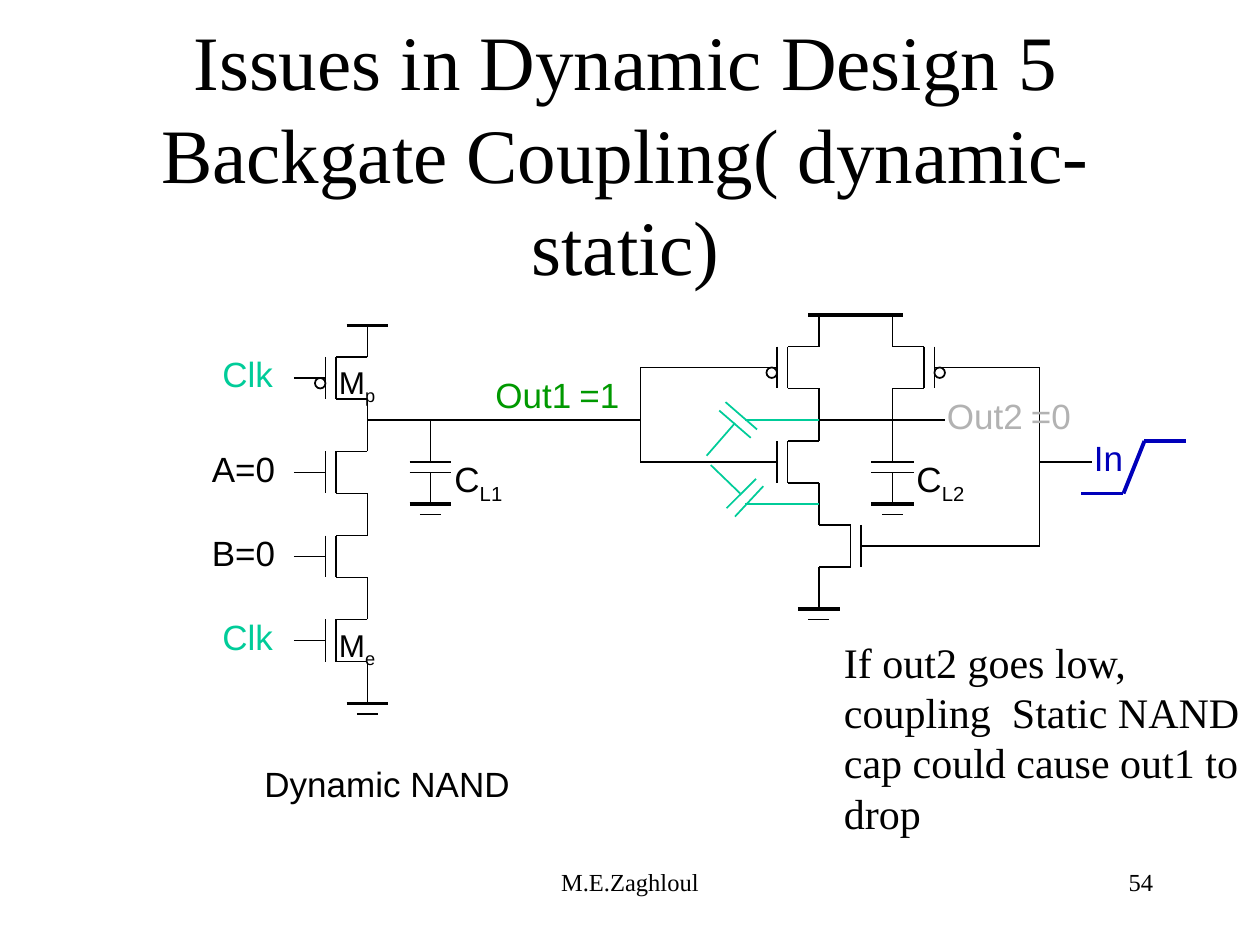
from lxml.etree import SubElement
from pptx import Presentation
from pptx.dml.color import RGBColor
from pptx.enum.shapes import MSO_CONNECTOR, MSO_SHAPE
from pptx.enum.text import MSO_ANCHOR, MSO_AUTO_SIZE, PP_ALIGN
from pptx.oxml.ns import qn
from pptx.util import Inches, Pt

COLUMNS, ROWS = 120, 90
BLACK, GREEN, TEAL, GREY, BLUE = "000000", "009900", "00CC99", "B2B2B2", "0000BA"
THIN, THICK = 1, 2.25
SERIF, SANS = "Times New Roman", "Arial"


def grid(units):
    return Inches(units / 12)


def rgb(value):
    return RGBColor.from_string(value)


def wire(shapes, start, end, colour=BLACK, width=THIN):
    line = shapes.add_connector(
        MSO_CONNECTOR.STRAIGHT, *(grid(units) for units in (*start, *end)))
    line.line.color.rgb = rgb(colour)
    line.line.width = Pt(width)
    SubElement(line._element.spPr, qn("a:effectLst"))


def chain(shapes, points, colour=BLACK, width=THIN):
    for start, end in zip(points, points[1:]):
        wire(shapes, start, end, colour, width)


def bar(shapes, x, y, half, width=THIN):
    wire(shapes, (x - half, y), (x + half, y), width=width)


def write(frame, text, size, font, colour, align=PP_ALIGN.LEFT, subscript=""):
    paragraph = frame.paragraphs[0]
    paragraph.alignment = align
    paragraph.font.size = Pt(size)
    paragraph.font.name = font
    paragraph.font.color.rgb = rgb(colour)
    paragraph.add_run().text = text
    if subscript:
        lowered = paragraph.add_run()
        lowered.text = subscript
        lowered.font._element.set("baseline", "-25000")
    return paragraph


def label(shapes, x, y, width, text, colour=BLACK, size=20, subscript=""):
    frame = shapes.add_textbox(
        grid(x), grid(y), grid(width), grid(5.3)).text_frame
    frame.word_wrap = False
    frame.auto_size = MSO_AUTO_SIZE.SHAPE_TO_FIT_TEXT
    write(frame, text, size, SANS, colour, subscript=subscript)


def transistor(slide, x, y, side=-1, inverted=False):
    parts = slide.shapes.add_group_shape().shapes
    channel, gate = x + 3 * side, x + 4 * side
    chain(parts, [(x, y - 3), (x, y), (channel, y),
                  (channel, y + 4), (x, y + 4), (x, y + 7)])
    wire(parts, (gate, y), (gate, y + 4))
    wire(parts, (x + 7 * side, y + 2), (gate, y + 2))
    if inverted:
        bubble = parts.add_shape(MSO_SHAPE.OVAL, grid(min(gate, gate + side)),
                                 grid(y + 2), grid(1), grid(1))
        bubble.shadow.inherit = False
        bubble.fill.background()
        bubble.line.color.rgb = rgb(BLACK)
        bubble.line.width = Pt(THIN)


def ground(shapes, x, y):
    wire(shapes, (x, y - 3), (x, y))
    bar(shapes, x, y, 2, THICK)
    bar(shapes, x, y + 1, 1)


def capacitor(slide, x, y, subscript):
    parts = slide.shapes.add_group_shape().shapes
    wire(parts, (x, y), (x, y + 4))
    bar(parts, x, y + 4, 2)
    bar(parts, x, y + 5, 2)
    ground(parts, x, y + 8)
    label(parts, x + 1.1, y + 3, 7, "C", subscript=subscript)


def dynamic_nand(slide, left, top):
    shapes = slide.shapes
    drain = left + 16
    bar(shapes, drain, top, 2, THICK)
    transistor(slide, drain, top + 3, inverted=True)
    for row in (12, 20, 28):
        transistor(slide, drain, top + row)
    ground(shapes.add_group_shape().shapes, drain, top + 36)
    capacitor(slide, left + 22, top + 9, "L1")
    wire(shapes, (drain, top + 9), (left + 42, top + 9))
    for x, y, width, text, colour in (
            (1, 2, 7.2, "Clk", TEAL), (0, 11, 8.4, "A=0", BLACK),
            (0, 19, 8.4, "B=0", BLACK), (1, 27, 7.2, "Clk", TEAL),
            (27, 4, 9.6, "Out1", GREEN), (35, 4, 6.3, "=1", GREEN),
            (5, 41, 25.8, "Dynamic NAND", BLACK)):
        label(shapes, left + x, top + y, width, text, colour)
    for y, subscript in ((3, "p"), (28, "e")):
        label(shapes, left + 12.1, top + y, 5.9, "M", size=18, subscript=subscript)


def coupling_capacitors(slide, left, top):
    upper = [((6.3, 13.4), (9, 10.3)), ((11.1, 10.9), (8.1, 8.3)),
             ((10.5, 11.7), (7.5, 9.1)), ((10, 10), (17, 10))]
    lower = [((6.7, 14.3), (9.5, 17)), ((9, 19.2), (11.7, 16.3)),
             ((8.2, 18.4), (11, 15.6)), ((10, 18), (17, 18))]
    for strokes in (lower, upper):
        parts = slide.shapes.add_group_shape().shapes
        for (x1, y1), (x2, y2) in strokes:
            wire(parts, (left + x1, top + y1), (left + x2, top + y2), TEAL)


def static_nand(slide, left, top):
    shapes = slide.shapes
    drain, second_drain, feed = left + 17, left + 24, left + 38
    wire(shapes, (left + 16, top), (left + 25, top), width=THICK)
    transistor(slide, drain, top + 3, inverted=True)
    transistor(slide, second_drain, top + 3, side=1, inverted=True)
    transistor(slide, drain, top + 12)
    transistor(slide, drain, top + 20, side=1)
    ground(shapes.add_group_shape().shapes, drain, top + 28)
    chain(shapes, [(left + 10, top + 5), (left, top + 5),
                   (left, top + 14), (left + 10, top + 14)])
    chain(shapes, [(left + 31, top + 5), (feed, top + 5),
                   (feed, top + 22), (left + 24, top + 22)])
    wire(shapes, (feed, top + 14), (left + 43, top + 14))
    wire(shapes, (drain, top + 10), (left + 29, top + 10))
    capacitor(slide, second_drain, top + 10, "L2")
    coupling_capacitors(slide, left, top)
    label(shapes, left + 28, top + 7, 9.6, "Out2", GREY)
    label(shapes, left + 36, top + 7, 6.3, "=0", GREY)
    label(shapes, left + 42, top + 11, 5.2, "In", BLUE)
    chain(shapes, [(left + 42, top + 17), (left + 46, top + 17),
                   (left + 48, top + 12), (left + 52, top + 12)], BLUE, THICK)


def heading(slide, left, top, width, height):
    title = slide.shapes.title
    title.left, title.top = grid(left), grid(top)
    title.width, title.height = grid(width), grid(height)
    frame = title.text_frame
    frame.word_wrap = True
    frame.auto_size = MSO_AUTO_SIZE.NONE
    frame.vertical_anchor = MSO_ANCHOR.MIDDLE
    write(frame, "Issues in Dynamic Design 5 Backgate Coupling( dynamic-static)",
          44, SERIF, BLACK, PP_ALIGN.CENTER)


def passage(slide, left, top, width, height, text, size, align=PP_ALIGN.LEFT):
    frame = slide.shapes.add_textbox(
        grid(left), grid(top), grid(width), grid(height)).text_frame
    frame.word_wrap = True
    return write(frame, text, size, SERIF, BLACK, align)


def main():
    deck = Presentation()
    deck.slide_width, deck.slide_height = grid(COLUMNS), grid(ROWS)
    slide = deck.slides.add_slide(deck.slide_layouts[5])
    heading(slide, 8.6, 9.8, 102, 9.4)
    dynamic_nand(slide, 19, 31)
    static_nand(slide, 61, 30)
    remark = passage(
        slide, 79.2, 60, 41, 20.4,
        "If out2 goes low, coupling  Static NAND cap could cause out1 to drop", 24)
    remark.space_before = Pt(15)
    passage(slide, 41, 82, 38, 6, "M.E.Zaghloul", 14, PP_ALIGN.CENTER)
    passage(slide, 86, 82, 25, 6, "54", 14, PP_ALIGN.RIGHT)
    deck.save("out.pptx")


if __name__ == "__main__":
    main()
